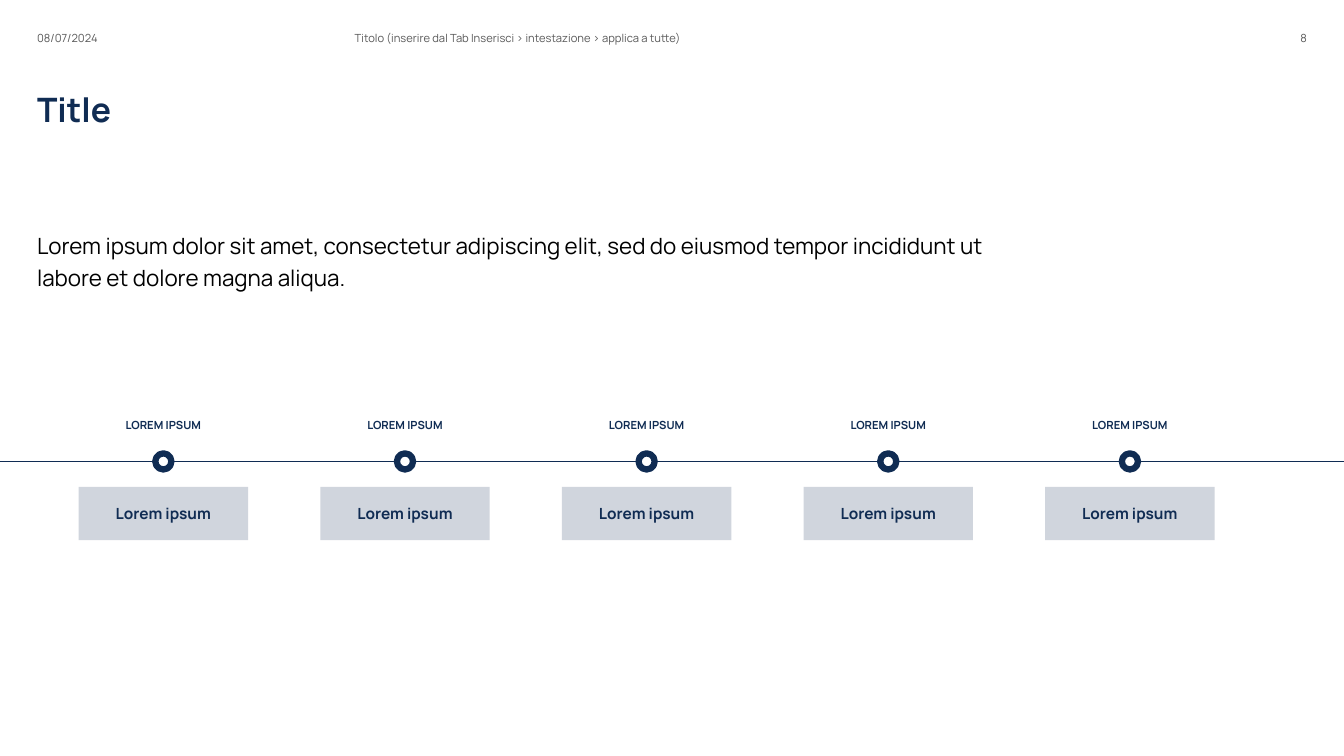
from dataclasses import dataclass

from lxml.etree import SubElement
from pptx import Presentation
from pptx.dml.color import RGBColor
from pptx.enum.shapes import MSO_CONNECTOR as Connector, MSO_SHAPE as Preset
from pptx.enum.text import MSO_ANCHOR as Anchor, PP_ALIGN as Align
from pptx.oxml.ns import qn
from pptx.shapes.autoshape import Shape
from pptx.slide import Slide
from pptx.util import Pt

NAVY = RGBColor(0x10, 0x2C, 0x53)
GRAY = RGBColor(0x59, 0x59, 0x59)
PALE = RGBColor(0xD0, 0xD5, 0xDD)
BLACK = RGBColor(0, 0, 0)
WHITE = RGBColor(0xFF, 0xFF, 0xFF)

FONT = "Manrope"
PAGE_WIDTH, PAGE_HEIGHT = 960, 540
MARGIN = 26.5
AXIS_Y = 329.6
FIRST_CENTER, STEP_PITCH = 116.7, 172.6
STEP_WIDTH = 121
DOT_SIZE = 11.5


@dataclass(frozen=True)
class Style:
    size: float
    color: RGBColor
    bold: bool = False
    align: Align = Align.LEFT
    anchor: Anchor = Anchor.TOP
    line_spacing: float = 1.0


@dataclass(frozen=True)
class TextBlock:
    text: str
    left: float
    top: float
    width: float
    height: float
    style: Style


@dataclass(frozen=True)
class Step:
    caption: str
    label: str


TITLE = Style(24, NAVY, bold=True)
BODY = Style(16, BLACK, line_spacing=1.2)
HEADER = Style(8, GRAY, anchor=Anchor.BOTTOM)
PAGE_NUMBER = Style(8, GRAY, align=Align.RIGHT, anchor=Anchor.BOTTOM)
CAPTION = Style(8, NAVY, bold=True, align=Align.CENTER, anchor=Anchor.MIDDLE)
LABEL = Style(11, NAVY, bold=True, align=Align.CENTER, anchor=Anchor.MIDDLE)

BLOCKS = [
    TextBlock("Title", MARGIN, 63.4, 680, 66, TITLE),
    TextBlock("08/07/2024", MARGIN, 3, 188, 29, HEADER),
    TextBlock("Titolo (inserire dal Tab Inserisci > intestazione > applica a tutte)",
              253.4, 3, 324, 29, HEADER),
    TextBlock("8", 851.5, 3, 82, 29, PAGE_NUMBER),
    TextBlock("Lorem ipsum dolor sit amet, consectetur adipiscing elit, sed do eiusmod "
              "tempor incididunt ut labore et dolore magna aliqua.",
              MARGIN, 162, 680, 348, BODY),
]
STEPS = [Step("LOREM IPSUM", "Lorem ipsum")] * 5


def write(box: Shape, text: str, style: Style) -> None:
    frame = box.text_frame
    frame.text = text
    frame.word_wrap = True
    frame.vertical_anchor = style.anchor
    frame.margin_left = frame.margin_right = frame.margin_top = frame.margin_bottom = 0
    para = frame.paragraphs[0]
    para.alignment = style.align
    para.line_spacing = style.line_spacing
    font = para.runs[0].font
    font.name, font.size, font.bold = FONT, Pt(style.size), style.bold
    font.color.rgb = style.color


def add_text(page: Slide, block: TextBlock) -> None:
    box = page.shapes.add_textbox(
        Pt(block.left), Pt(block.top), Pt(block.width), Pt(block.height))
    write(box, block.text, block.style)


def add_filled(page: Slide, preset: Preset, left: float, top: float,
               width: float, height: float, color: RGBColor) -> Shape:
    shape = page.shapes.add_shape(preset, Pt(left), Pt(top), Pt(width), Pt(height))
    shape.shadow.inherit = False
    shape.fill.solid()
    shape.fill.fore_color.rgb = color
    shape.line.fill.background()
    return shape


def add_axis(page: Slide) -> None:
    axis = page.shapes.add_connector(
        Connector.STRAIGHT, Pt(0), Pt(AXIS_Y), Pt(PAGE_WIDTH), Pt(AXIS_Y))
    axis.line.color.rgb = NAVY
    axis.line.width = Pt(0.5)
    SubElement(axis._element.spPr, qn("a:effectLst"))


def add_step(page: Slide, step: Step, center: float) -> None:
    left = center - STEP_WIDTH / 2
    card = add_filled(page, Preset.RECTANGLE, left, 347.8, STEP_WIDTH, 38, PALE)
    write(card, step.label, LABEL)
    dot = add_filled(page, Preset.OVAL, center - DOT_SIZE / 2, AXIS_Y - DOT_SIZE / 2,
                     DOT_SIZE, DOT_SIZE, WHITE)
    dot.line.color.rgb = NAVY
    dot.line.width = Pt(4.5)
    add_text(page, TextBlock(step.caption, left, 296.5, STEP_WIDTH, 14.4, CAPTION))


def main() -> None:
    deck = Presentation()
    deck.slide_width, deck.slide_height = Pt(PAGE_WIDTH), Pt(PAGE_HEIGHT)
    page = deck.slides.add_slide(deck.slide_layouts[6])
    for block in BLOCKS:
        add_text(page, block)
    add_axis(page)
    for index, step in enumerate(STEPS):
        add_step(page, step, FIRST_CENTER + index * STEP_PITCH)
    deck.save("out.pptx")


if __name__ == "__main__":
    main()
